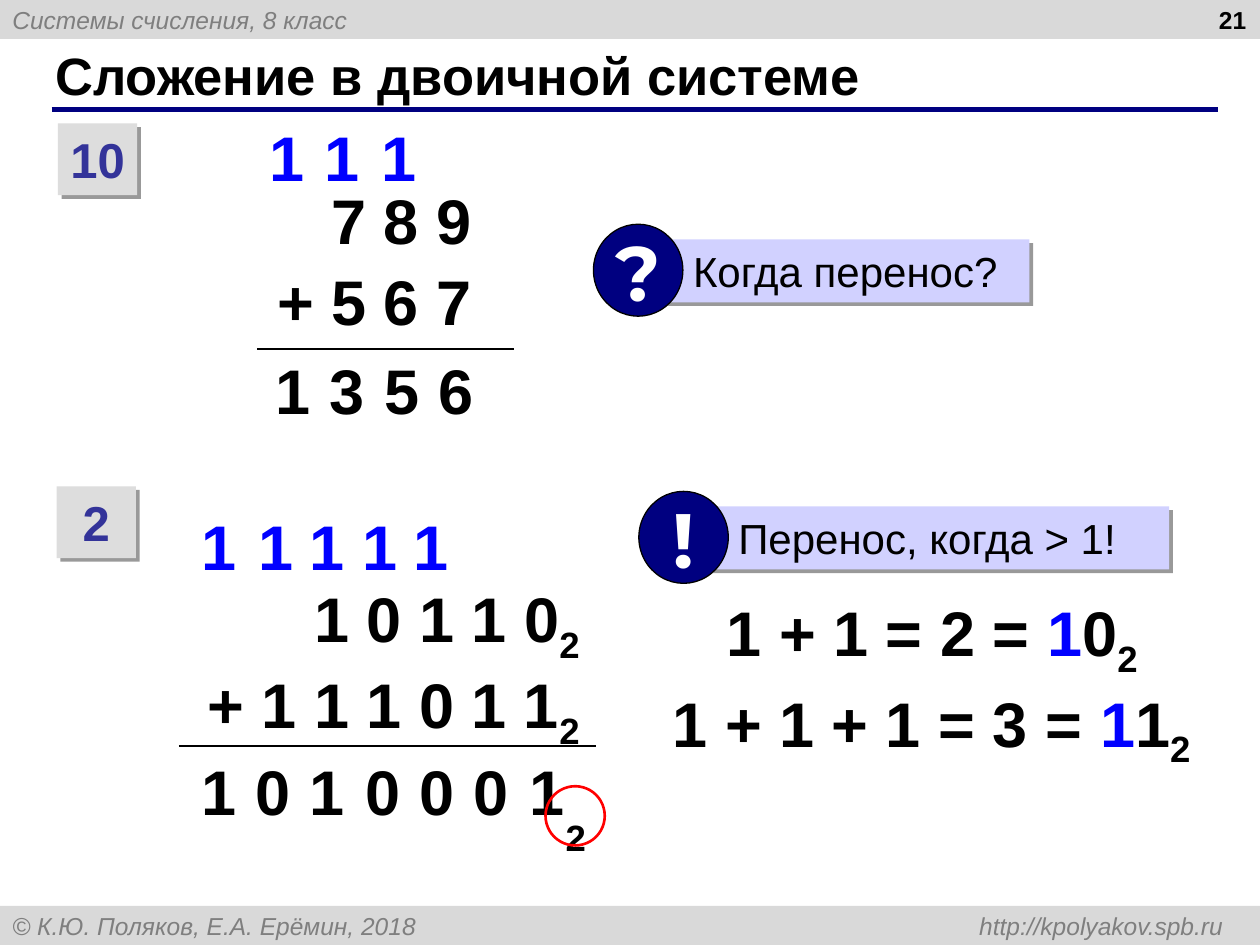
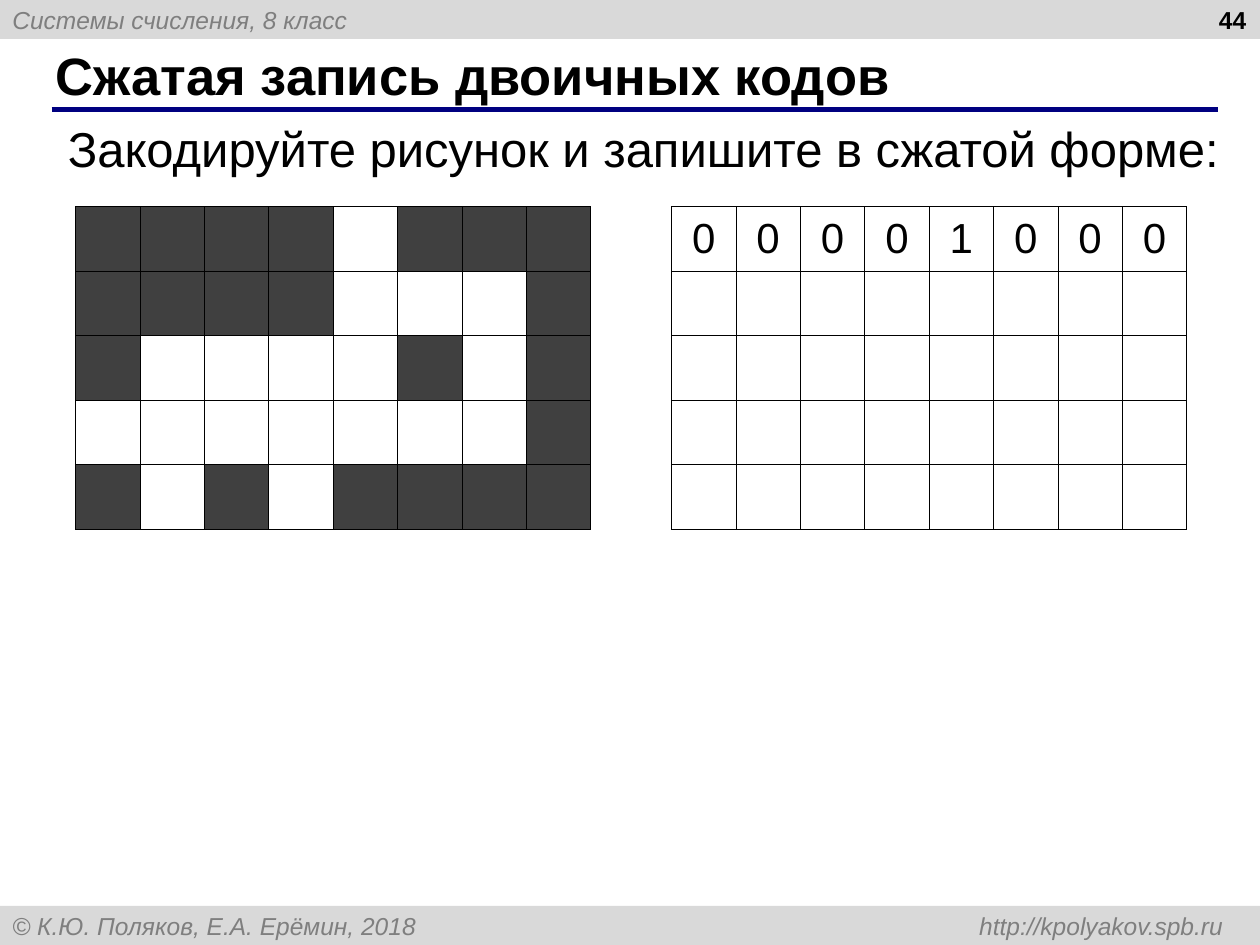
from lxml import etree
from pptx import Presentation
from pptx.dml.color import RGBColor
from pptx.enum import shapes, text
from pptx.oxml import ns
from pptx.util import Emu, Pt

PX = 9144
COLORS = {
    "band": "D9D9D9", "muted": "7F7F7F", "navy": "000080", "black": "000000",
    "white": "FFFFFF", "badge": "DDDDDD", "indigo": "333399", "carry": "0000FF",
    "callout": "D1D1FF", "red": "FF0000", "dark": "404040",
}
STYLES = {
    "band": ({"size": Pt(14), "italic": True}, "muted"),
    "number": ({"size": Pt(14), "bold": True}, "black"),
    "title": ({"size": Pt(30), "bold": True}, "black"),
    "badge": ({"size": Pt(28), "bold": True}, "indigo"),
    "sum": ({"size": Pt(36), "bold": True}, "black"),
    "carry": ({"size": Pt(36), "bold": True}, "carry"),
    "callout": ({"size": Pt(24)}, "black"),
    "sign": ({"size": Pt(44), "bold": True, "name": "Montserrat"}, "white"),
    "task": ({"size": Pt(28)}, "black"),
}
LEFT, CENTER, RIGHT = text.PP_ALIGN.LEFT, text.PP_ALIGN.CENTER, text.PP_ALIGN.RIGHT
TOP, MIDDLE = text.MSO_ANCHOR.TOP, text.MSO_ANCHOR.MIDDLE
RECT, OVAL = shapes.MSO_SHAPE.RECTANGLE, shapes.MSO_SHAPE.OVAL


def px(*values):
    return [Emu(v * PX) for v in values]


def rgb(name):
    return RGBColor.from_string(COLORS[name])


def sub(parent, tag, **attrs):
    return etree.SubElement(parent, ns.qn(tag), {k: str(v) for k, v in attrs.items()})


class Deck:
    def __init__(self):
        self.prs = Presentation()
        self.prs.slide_width, self.prs.slide_height = px(1000, 750)
        self.s = None

    def slide(self, title, number):
        self.s = self.prs.slides.add_slide(self.prs.slide_layouts[6])
        self.band(0, "Системы счисления, 8 класс")
        self.band(719, "© К.Ю. Поляков, Е.А. Ерёмин, 2018\thttp://kpolyakov.spb.ru")
        self.line(41, 967, 87, "navy", 3)
        self.text((34, 33, 916, 52), [title], "title", anchor=MIDDLE, wrap=True)
        self.text((766, 0, 233, 31), [number], "number", RIGHT, MIDDLE, True)

    def band(self, y, label):
        sp = self.shape(RECT, (0, y, 1000, 31), "band")
        p = self.label(sp, [label], "band", anchor=MIDDLE, wrap=True)
        tabs = sub(p._p.get_or_add_pPr(), "a:tabLst")
        sub(tabs, "a:tab", pos=961 * PX, algn="r")

    def label(self, sp, lines, style, align=LEFT, anchor=TOP, wrap=False, inset=10, gap=0):
        tf = sp.text_frame
        left, side, edge = px(inset, 10, 5)
        frame = {"word_wrap": wrap, "vertical_anchor": anchor, "margin_left": left,
                 "margin_right": side, "margin_top": edge, "margin_bottom": edge}
        for key, value in frame.items():
            setattr(tf, key, value)
        for i, line in enumerate(lines):
            p = tf.add_paragraph() if i else tf.paragraphs[0]
            p.alignment = align
            if i and gap:
                p.space_before = Pt(gap)
            for part in [line] if isinstance(line, str) else line:
                self.run(p, part, style)
        return tf.paragraphs[0]

    def run(self, p, part, style):
        content, kind = (part, None) if isinstance(part, str) else part
        r = p.add_run()
        r.text = content
        values, color = STYLES["carry" if kind == "carry" else style]
        for key, value in {"name": "Arial", **values}.items():
            setattr(r.font, key, value)
        r.font.color.rgb = rgb(color)
        if kind == "sub":
            r._r.get_or_add_rPr().set("baseline", "-25000")

    def text(self, box, lines, style, align=LEFT, anchor=TOP, wrap=False, gap=0):
        sp = self.s.shapes.add_textbox(*px(*box))
        self.label(sp, lines, style, align, anchor, wrap, gap=gap)

    def shape(self, kind, box, fill=None, line=None, width=0.75, shadow=False):
        sp = self.s.shapes.add_shape(kind, *px(*box))
        sp.shadow.inherit = False
        if fill:
            sp.fill.solid()
            sp.fill.fore_color.rgb = rgb(fill)
        else:
            sp.fill.background()
        if line:
            sp.line.color.rgb = rgb(line)
            sp.line.width = Pt(width)
        else:
            sp.line.fill.background()
        if shadow:
            effects = sp._element.spPr.find(ns.qn("a:effectLst"))
            outer = sub(effects, "a:outerShdw", blurRad=0, dist=Pt(3), dir=45 * 60000,
                        algn="ctr", rotWithShape=0)
            sub(sub(outer, "a:srgbClr", val=COLORS["black"]), "a:alpha", val=40000)
        return sp

    def line(self, x1, x2, y, color="black", width=1.5):
        c = self.s.shapes.add_connector(shapes.MSO_CONNECTOR.STRAIGHT, *px(x1, y, x2, y))
        c.line.color.rgb = rgb(color)
        c.line.width = Pt(width)
        sub(c._element.spPr, "a:effectLst")

    def badge(self, x, y, label):
        sp = self.shape(RECT, (x, y, 63, 57), "badge", shadow=True)
        self.label(sp, [label], "badge", CENTER)

    def callout(self, x, y, width, sign, message):
        box = self.shape(RECT, (x, y, width, 50), "callout", shadow=True)
        self.label(box, [message], "callout", anchor=MIDDLE, wrap=True, inset=28)
        disc = self.shape(OVAL, (x - 51, y - 12, 71, 73), "navy", "black")
        self.label(disc, [sign], "sign", CENTER, MIDDLE)

    def digits(self, figures, lefts, y, style):
        for figure, x in zip(figures, lefts):
            self.text((x, y, 48, 70), [figure], style)

    def table(self, x, y, rows, shaded):
        frame = self.s.shapes.add_table(len(rows), len(rows[0]), *px(x, y, 409, 256))
        table = frame.table
        table.first_row = table.horz_banding = False
        for i, row in enumerate(rows):
            for j, bit in enumerate(row):
                self.cell(table.cell(i, j), bit, shaded)

    def cell(self, cell, bit, shaded):
        tc_pr = cell._tc.get_or_add_tcPr()
        for side in "LRTB":
            ln = sub(tc_pr, f"a:ln{side}", w=Pt(0.45))
            sub(sub(ln, "a:solidFill"), "a:srgbClr", val=COLORS["black"])
        if shaded and bit == "0":
            cell.fill.solid()
            cell.fill.fore_color.rgb = rgb("dark")
        else:
            cell.fill.background()
        if not shaded and bit != " ":
            cell.vertical_anchor = MIDDLE
            p = cell.text_frame.paragraphs[0]
            p.alignment = CENTER
            self.run(p, bit, "callout")


def addition(deck):
    deck.slide("Сложение в двоичной системе", "21")

    deck.badge(46, 98, "10")
    deck.digits("111", (204, 248, 293), 89, "carry")
    deck.text((142, 139, 242, 130), ["7 8 9", "+ 5 6 7"], "sum", RIGHT, wrap=True, gap=3)
    deck.line(204, 408, 277)
    deck.digits("1356", range(209, 339, 43), 274, "sum")
    deck.callout(522, 190, 295, "?", "Когда перенос?")

    deck.badge(45, 386, "2")
    deck.digits("11111", (150, 195, 236, 278, 318), 398, "carry")
    two = ("2", "sub")
    terms = [["1 0 1 1 0", two], ["+ 1 1 1 0 1 1", two]]
    deck.text((140, 455, 330, 147), terms, "sum", RIGHT, wrap=True)
    deck.line(142, 473, 592)
    deck.digits("1010001", [150 + i * 130 // 3 for i in range(7)], 592, "sum")
    deck.text((439, 608, 36, 79), [[two]], "sum")
    deck.shape(OVAL, (433, 624, 47, 47), line="red", width=1.5)

    deck.callout(558, 402, 370, "!", "Перенос, когда > 1!")
    one = ("1", "carry")
    deck.text((567, 466, 346, 79), [["1 + 1 = 2 = ", one, "0", two]], "sum")
    deck.text((524, 538, 431, 79), [["1 + 1 + 1 = 3 = ", one, "1", two]], "sum")


def compact_codes(deck):
    deck.slide("Сжатая запись двоичных кодов", "44")
    task = "Закодируйте рисунок и запишите в сжатой форме:"
    deck.text((44, 89, 956, 57), [task], "task", wrap=True)
    bitmap = ["00001000", "00001110", "01111010", "11111110", "01010000"]
    deck.table(60, 164, bitmap, True)
    deck.table(533, 164, bitmap[:1] + [" " * 8] * 4, False)


def main():
    deck = Deck()
    addition(deck)
    compact_codes(deck)
    deck.prs.save("out.pptx")


if __name__ == "__main__":
    main()
